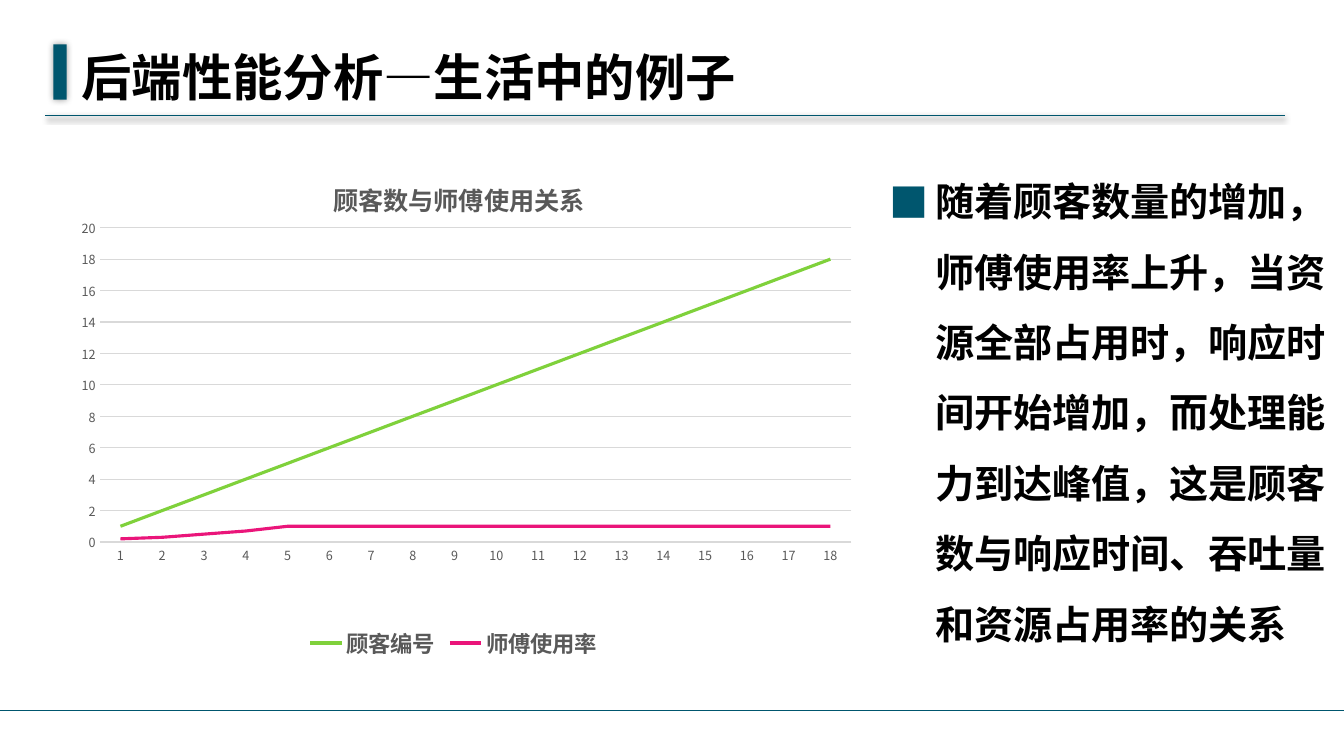
"""Build the back-end performance slide with its customer and usage chart."""
from dataclasses import dataclass

from lxml import etree
from pptx import Presentation
from pptx.chart.data import CategoryChartData
from pptx.dml.color import RGBColor
from pptx.enum.chart import XL_CHART_TYPE, XL_LEGEND_POSITION, XL_TICK_MARK
from pptx.enum.shapes import MSO_CONNECTOR, MSO_SHAPE
from pptx.enum.text import MSO_ANCHOR
from pptx.oxml import parse_xml
from pptx.oxml.ns import nsdecls, qn
from pptx.util import Pt

LINE_CHART = XL_CHART_TYPE.LINE
LEGEND_BOTTOM = XL_LEGEND_POSITION.BOTTOM
NO_TICK = XL_TICK_MARK.NONE
STRAIGHT = MSO_CONNECTOR.STRAIGHT
RECTANGLE = MSO_SHAPE.RECTANGLE
TOP, MIDDLE = MSO_ANCHOR.TOP, MSO_ANCHOR.MIDDLE


@dataclass(frozen=True)
class Theme:
    """Colours, fonts and type sizes of the slide."""
    accent: str = "00566E"
    ink: str = "000000"
    muted: str = "595959"
    grid: str = "D9D9D9"
    customers: str = "7FD13B"
    usage: str = "EA157A"
    sans: str = "Noto Sans CJK SC"
    serif: str = "Times New Roman"
    title_size: float = 36
    body_size: float = 28
    chart_title_size: float = 18
    legend_size: float = 16
    chart_size: float = 10
    axis_size: float = 9


THEME = Theme()
CUSTOMERS = range(1, 19)
USAGE = [0.2, 0.3, 0.5, 0.7] + [1] * 14
FINDING = ("随着顾客数量的增加，师傅使用率上升，当资源全部占用时，响应时间开始增加，"
           "而处理能力到达峰值，这是顾客数与响应时间、吞吐量和资源占用率的关系")


def style_font(font, size, color, bold=False, name=THEME.sans):
    """Set size, colour, weight and typeface of a font."""
    font.size, font.bold, font.name = Pt(size), bold, name
    font.color.rgb = RGBColor.from_string(color)


def add_east_asian_font(element):
    """Name the Chinese typeface beside every Latin one."""
    for latin in list(element.iter(qn("a:latin"))):
        latin.addnext(parse_xml(f'<a:ea {nsdecls("a")} typeface="{THEME.sans}"/>'))


def add_effects(properties, blur=0, distance=0, angle=0, opacity=0):
    """Give shape properties an outer shadow, or none at zero opacity."""
    effects = etree.SubElement(properties, qn("a:effectLst"))
    if opacity:
        effects.append(parse_xml(
            f'<a:outerShdw {nsdecls("a")} blurRad="{Pt(blur)}" dist="{Pt(distance)}" '
            f'dir="{angle * 60000}" algn="ctr" rotWithShape="0"><a:srgbClr val="{THEME.ink}">'
            f'<a:alpha val="{opacity * 1000}"/></a:srgbClr></a:outerShdw>'))


def add_rule(slide, left, right, y, **shadow):
    """Draw a horizontal accent rule."""
    rule = slide.shapes.add_connector(STRAIGHT, Pt(left), Pt(y), Pt(right), Pt(y))
    rule.line.width = Pt(1)
    rule.line.color.rgb = RGBColor.from_string(THEME.accent)
    add_effects(rule.element.spPr, **shadow)


def add_title_marker(slide):
    """Draw the upright bar in front of the title."""
    marker = slide.shapes.add_shape(RECTANGLE, Pt(38.2), Pt(31.7), Pt(9.4), Pt(39.6))
    marker.fill.solid()
    marker.fill.fore_color.rgb = RGBColor.from_string(THEME.accent)
    marker.line.fill.background()
    add_effects(marker.element.spPr, blur=5, opacity=40)


def add_text(slide, text, box, size, anchor, name):
    """Add a bold wrapped text box and return its paragraph."""
    text_box = slide.shapes.add_textbox(*map(Pt, box))
    frame = text_box.text_frame
    frame.word_wrap, frame.vertical_anchor = True, anchor
    frame.margin_left = frame.margin_right = Pt(8.6)
    frame.margin_top = frame.margin_bottom = Pt(4.3)
    frame.text = text
    paragraph = frame.paragraphs[0]
    style_font(paragraph.runs[0].font, size, THEME.ink, True, name)
    add_east_asian_font(text_box.element)
    return paragraph


def add_finding(slide):
    """Add the bulleted finding beside the chart."""
    paragraph = add_text(slide, FINDING, (627.8, 105.8, 333.4, 396.7),
                         THEME.body_size, TOP, THEME.serif)
    paragraph.line_spacing, paragraph.space_before = Pt(50.4), Pt(2.6)
    properties = paragraph.runs[0].font and paragraph.runs[0].text and \
        slide.shapes[-1].element.find(".//" + qn("a:pPr"))
    properties.set("marL", str(Pt(32.4)))
    properties.set("indent", str(Pt(-32.4)))
    for bullet in (f'<a:buClr {nsdecls("a")}><a:srgbClr val="{THEME.accent}"/></a:buClr>',
                   f'<a:buFont {nsdecls("a")} typeface="{THEME.sans}"/>',
                   f'<a:buChar {nsdecls("a")} char="■"/>'):
        properties.append(parse_xml(bullet))


def place_manually(parent, x, y, width=None, height=None):
    """Fix a chart part at fractions of the chart area."""
    for previous in parent.findall(qn("c:layout")):
        parent.remove(previous)
    target = '<c:layoutTarget val="inner"/>' if width else ""
    size = f'<c:w val="{width}"/><c:h val="{height}"/>' if width else ""
    layout = parse_xml(
        f'<c:layout {nsdecls("c")}><c:manualLayout>{target}<c:xMode val="edge"/>'
        f'<c:yMode val="edge"/><c:x val="{x}"/><c:y val="{y}"/>{size}'
        '</c:manualLayout></c:layout>')
    heading = parent.find(qn("c:tx"))
    if heading is None:
        parent.insert(0, layout)
    else:
        heading.addnext(layout)


def style_axis(axis):
    """Set the labels and tick marks of an axis."""
    axis.major_tick_mark = axis.minor_tick_mark = NO_TICK
    style_font(axis.tick_labels.font, THEME.axis_size, THEME.muted)


def style_line(line, color, width):
    """Set colour and width of a chart line."""
    line.color.rgb, line.width = RGBColor.from_string(color), Pt(width)


def add_usage_chart(slide):
    """Add the line chart of customers against master usage."""
    data = CategoryChartData()
    data.categories = [str(number) for number in CUSTOMERS]
    data.add_series("顾客编号", CUSTOMERS)
    data.add_series("师傅使用率", USAGE)
    chart = slide.shapes.add_chart(
        LINE_CHART, Pt(26.6), Pt(105.8), Pt(595.4), Pt(368.6), data).chart
    style_font(chart.font, THEME.chart_size, THEME.ink)

    chart.has_title = True
    heading = chart.chart_title.text_frame
    heading.text = "顾客数与师傅使用关系"
    style_font(heading.paragraphs[0].runs[0].font, THEME.chart_title_size, THEME.muted, True)
    chart.has_legend = True
    chart.legend.position, chart.legend.include_in_layout = LEGEND_BOTTOM, False
    style_font(chart.legend.font, THEME.legend_size, THEME.muted, True)

    style_axis(chart.category_axis)
    style_line(chart.category_axis.format.line, THEME.grid, 0.75)
    values = chart.value_axis
    style_axis(values)
    values.minimum_scale, values.maximum_scale, values.major_unit = 0, 20, 2
    values.format.line.fill.background()
    style_line(values.major_gridlines.format.line, THEME.grid, 0.75)

    chart.plots[0].vary_by_categories = False
    for series, color in zip(chart.plots[0].series, (THEME.customers, THEME.usage)):
        series.smooth = False
        style_line(series.format.line, color, 2.25)
    place_manually(chart.element.find(".//" + qn("c:title")), 0.35, 0.05)
    place_manually(chart.element.find(".//" + qn("c:plotArea")), 0.075, 0.155, 0.903, 0.61)
    add_east_asian_font(chart.element)


def main():
    """Assemble and save the slide."""
    deck = Presentation()
    deck.slide_width, deck.slide_height = Pt(961.2), Pt(540)
    slide = deck.slides.add_slide(deck.slide_layouts[6])
    add_rule(slide, 32.4, 918.7, 82.8, blur=4, distance=1.6, angle=90, opacity=42)
    add_title_marker(slide)
    for left in (610.6, -1.4, 275):
        add_rule(slide, left, left + 350.6, 508.3)
    add_text(slide, "后端性能分析—生活中的例子", (49.7, 31.7, 651.6, 45.4),
             THEME.title_size, MIDDLE, THEME.sans)
    add_finding(slide)
    add_usage_chart(slide)
    deck.save("out.pptx")


if __name__ == "__main__":
    main()
